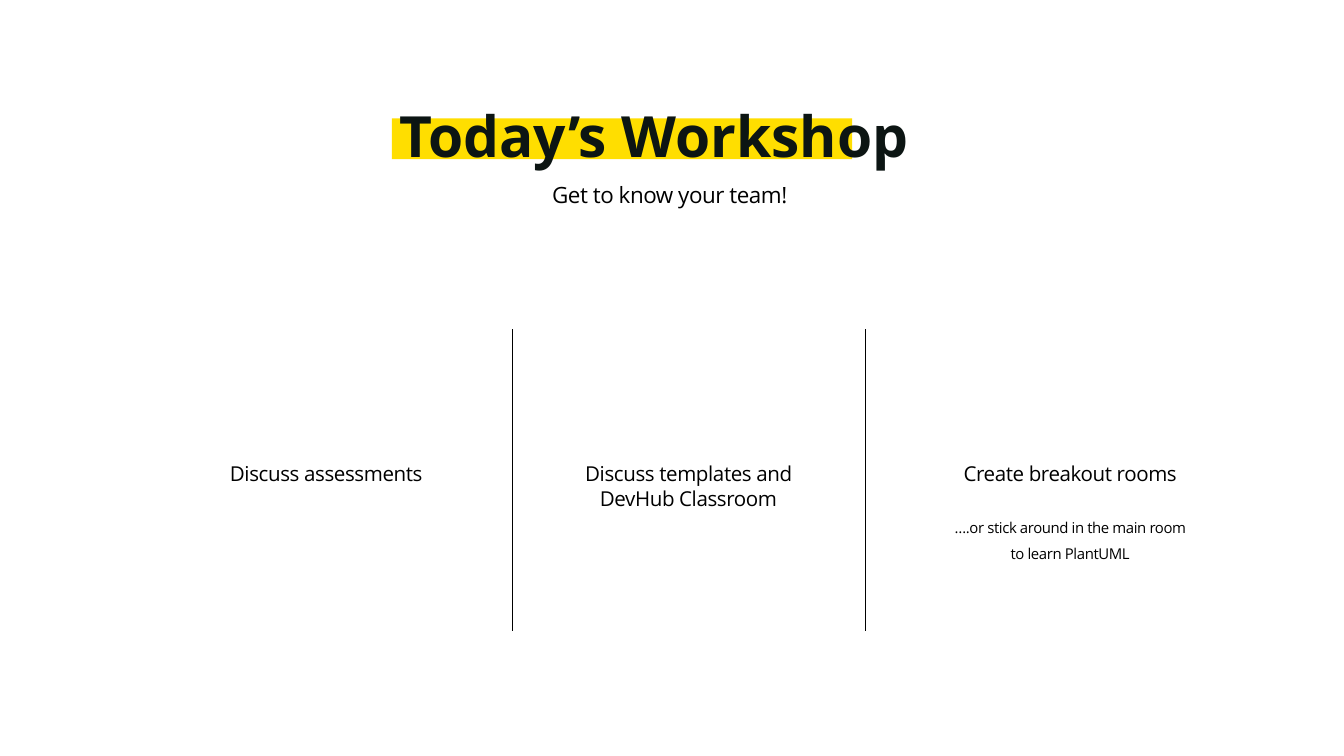
from lxml import etree
from pptx import Presentation
from pptx.dml.color import RGBColor
from pptx.enum.shapes import MSO_CONNECTOR, MSO_SHAPE
from pptx.enum.text import MSO_AUTO_SIZE, PP_ALIGN
from pptx.oxml.ns import qn
from pptx.util import Inches, Pt

STRAIGHT = MSO_CONNECTOR.STRAIGHT
RECTANGLE = MSO_SHAPE.RECTANGLE
FIT_SHAPE = MSO_AUTO_SIZE.SHAPE_TO_FIT_TEXT
CENTER = PP_ALIGN.CENTER

COLORS = {"paper": "FFFFFF", "highlight": "FFDE00", "title": "0C1513", "ink": "000000"}
FRAME = {"word_wrap": True, "auto_size": FIT_SHAPE, "margin_left": 0,
         "margin_right": 0, "margin_top": 0, "margin_bottom": 0}

# Text formats: size, line spacing and tracking in points
TITLE = {"size": 60.9, "line": 119, "color": "title", "bold": True}
SUBTITLE = {"size": 24, "line": 30, "tracking": -0.5}
TOPIC = {"size": 22, "line": 27.5, "tracking": -0.4}
NOTE = {**TOPIC, "size": 16, "before": 27.5}


def set_all(target, values):
    for name, value in values.items():
        setattr(target, name, value)


class SlideBuilder:
    font = "Open Sans"

    def __init__(self, page):
        self.page = page
        fill = page.background.fill
        fill.solid()
        fill.fore_color.rgb = self.color("paper")

    def color(self, name):
        return RGBColor.from_string(COLORS[name])

    def bar(self, left, top, width, height, color):
        box = self.page.shapes.add_shape(
            RECTANGLE, Inches(left), Inches(top), Inches(width), Inches(height))
        box.shadow.inherit = False
        box.fill.solid()
        box.fill.fore_color.rgb = self.color(color)
        box.line.fill.background()

    def text(self, left, top, width, height, paragraphs):
        box = self.page.shapes.add_textbox(
            Inches(left), Inches(top), Inches(width), Inches(height))
        frame = box.text_frame
        set_all(frame, FRAME)
        for index, (words, style) in enumerate(paragraphs):
            para = frame.add_paragraph() if index else frame.paragraphs[0]
            set_all(para, {"alignment": CENTER, "line_spacing": Pt(style["line"]),
                           "space_before": Pt(style.get("before", 0))})
            span = para.add_run()
            span.text = words
            set_all(span.font, {"name": self.font, "size": Pt(style["size"]),
                                "bold": style.get("bold", False)})
            span.font.color.rgb = self.color(style.get("color", "ink"))
            if "tracking" in style:
                span.font._element.set("spc", str(round(style["tracking"] * 100)))

    def divider(self, left, top, bottom):
        line = self.page.shapes.add_connector(
            STRAIGHT, Inches(left), Inches(top), Inches(left), Inches(bottom))
        line.line.color.rgb = self.color("ink")
        line.line.width = Pt(0.75)
        etree.SubElement(line._element.spPr, qn("a:effectLst"))


def main():
    deck = Presentation()
    deck.slide_width, deck.slide_height = Inches(20), Inches(11.25)
    builder = SlideBuilder(deck.slides.add_slide(deck.slide_layouts[6]))

    # Heading on its highlight bar
    builder.bar(5.83, 1.76, 6.85, 0.61, "highlight")
    builder.text(5.83, 0.86, 7.8, 1.51, [("Today’s Workshop", TITLE)])
    builder.text(6.37, 2.68, 7.27, 0.42, [("Get to know your team! ", SUBTITLE)])

    # Three topic columns
    topics = [
        (3.26, 3.19, 0.38, [("Discuss assessments", TOPIC)]),
        (8.5, 3.49, 1.16, [("Discuss templates and DevHub Classroom", TOPIC)]),
        (14.08, 3.69, 1.53, [
            ("Create breakout rooms", TOPIC),
            ("….or stick around in the main room to learn PlantUML", NOTE)]),
    ]
    for left, width, height, paragraphs in topics:
        builder.text(left, 6.84, width, height, paragraphs)

    # Column dividers
    for left in (7.62, 12.88):
        builder.divider(left, 4.9, 9.39)

    deck.save("out.pptx")


if __name__ == "__main__":
    main()
